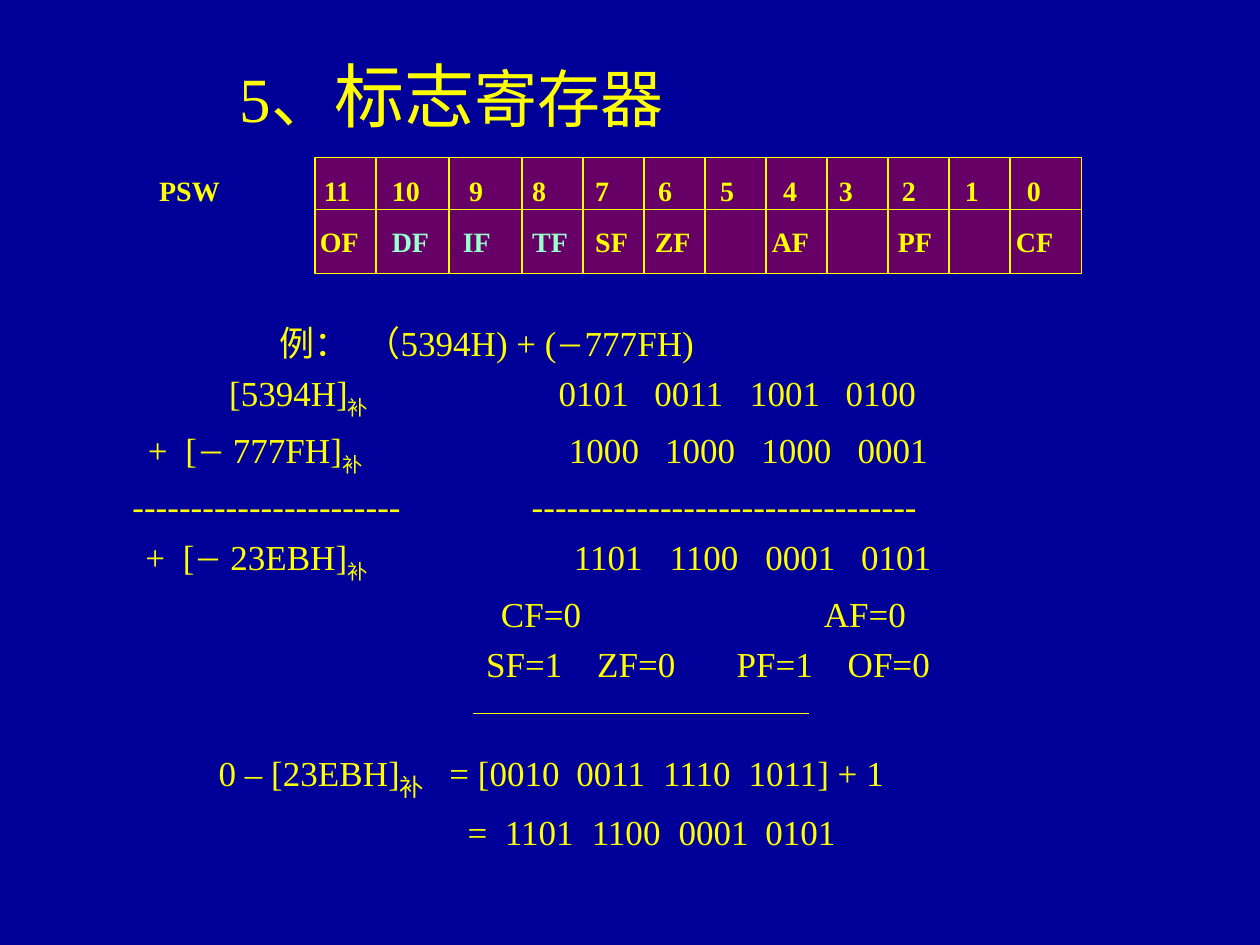
import itertools

import pptx
import pptx.dml.color
import pptx.enum.shapes
import pptx.enum.text
import pptx.oxml.ns
import pptx.util
from lxml import etree
from pptx.util import Cm, Pt

NAVY = pptx.dml.color.RGBColor(0x00, 0x00, 0x99)
PURPLE = pptx.dml.color.RGBColor(0x66, 0x00, 0x66)
YELLOW = pptx.dml.color.RGBColor(0xFF, 0xFF, 0x00)
MINT = pptx.dml.color.RGBColor(0x99, 0xFF, 0xCC)
FONT = "Times New Roman"
ANCHOR = pptx.enum.text.MSO_ANCHOR
INSET = 0.25

REGISTER_LEFT, REGISTER_TOP = 6.35, 3.18
REGISTER_WIDTH, REGISTER_HEIGHT = 15.45, 2.33
BIT_WIDTHS = [1.23, 1.47, 1.47] + [1.23] * 8
BIT_ROW = [
    (3.21, "PSW"), (6.53, "11"), (7.9, "10"), (9.46, "9"), (10.73, "8"),
    (12, "7"), (13.27, "6"), (14.52, "5"), (15.79, "4"), (16.91, "3"),
    (18.18, "2"), (19.45, "1"), (20.7, "0"),
]
FLAG_ROW = [
    (6.45, "OF"), (7.9, "DF"), (9.33, "IF"), (10.73, "TF"), (12, "SF"),
    (13.2, "ZF"), (15.56, "AF"), (18.1, "PF"), (20.48, "CF"),
]
CONTROL_FLAGS = {"DF", "IF", "TF"}

MINUS = ("－", 16, 0)
SUBSCRIPT = ("补", 20, -25)
LARGE_SUBSCRIPT = ("补", 24, -25)


def evenly(start, pitch, groups):
    """Return tabbed columns, one for each group of digits."""
    return [(start + pitch * i, [group]) for i, group in enumerate(groups.split())]


WORKING = [
    [(5.64, ["例："]), (7.37, ["（5394H) + (", MINUS, "777FH)"])],
    [(4.62, ["[5394H]", SUBSCRIPT])] + evenly(11.26, 1.93, "0101 0011 1001 0100"),
    [(2.98, ["+"]), (3.74, ["[", MINUS, " 777FH]", SUBSCRIPT])]
    + evenly(11.47, 1.94, "1000 1000 1000 0001"),
    [(2.67, ["-" * 23]), (10.72, ["-" * 33])],
    [(2.93, ["+"]), (3.69, ["[", MINUS, " 23EBH]", SUBSCRIPT])]
    + evenly(11.57, 1.93, "1101 1100 0001 0101"),
    [(10.1, ["CF=0"]), (16.61, ["AF=0"])],
    [(9.8, ["SF=1"]), (12.04, ["ZF=0"]), (14.85, ["PF=1"]), (17.09, ["OF=0"])],
    [(4.41, ["0 – [23EBH]", LARGE_SUBSCRIPT]), (9.06, ["= [0010"]),
     (11.62, ["0011"]), (13.37, ["1110"]), (15.09, ["1011] + 1"])],
    [(9.43, ["="])] + evenly(10.18, 1.75, "1101 1100 0001 0101"),
]
CHECK_ROW = 7


def add_run(paragraph, text, size, color=YELLOW, bold=False, baseline=0):
    """Append one styled run."""
    run = paragraph.add_run()
    run.text = text
    run.font.name = FONT
    run.font.size = Pt(size)
    run.font.bold = bold
    run.font.color.rgb = color
    if baseline:
        run.font._element.set("baseline", str(baseline * 1000))


def add_text_frame(slide, left, top, width, height, anchor=ANCHOR.TOP):
    """Add a wrapping text box and return its frame."""
    frame = slide.shapes.add_textbox(Cm(left), Cm(top), Cm(width), Cm(height)).text_frame
    frame.word_wrap = True
    frame.vertical_anchor = anchor
    return frame


def add_line(slide, x1, y1, x2, y2):
    """Add a thin yellow line."""
    line = slide.shapes.add_connector(
        pptx.enum.shapes.MSO_CONNECTOR.STRAIGHT, Cm(x1), Cm(y1), Cm(x2), Cm(y2))
    line.line.color.rgb = YELLOW
    line.line.width = Pt(0.75)
    etree.SubElement(line._element.spPr, pptx.oxml.ns.qn("a:effectLst"))


def set_tab_stops(paragraph, positions, text_left):
    """Give a paragraph left tab stops at positions measured on the slide."""
    qn = pptx.oxml.ns.qn
    stops = etree.SubElement(paragraph._p.get_or_add_pPr(), qn("a:tabLst"))
    for position in positions:
        etree.SubElement(stops, qn("a:tab"), pos=str(Cm(position - text_left)), algn="l")


def add_title(slide):
    """Add the heading."""
    frame = add_text_frame(slide, 1.27, 0.64, 15.67, 2.54, ANCHOR.MIDDLE)
    heading = frame.paragraphs[0]
    heading.alignment = pptx.enum.text.PP_ALIGN.CENTER
    for text, size in [("5、", 36), ("标志", 40), ("寄存器", 36)]:
        add_run(heading, text, size)


def add_register_grid(slide):
    """Add the register's panel and the lines between its bits."""
    panel = slide.shapes.add_shape(
        pptx.enum.shapes.MSO_SHAPE.RECTANGLE, Cm(REGISTER_LEFT), Cm(REGISTER_TOP),
        Cm(REGISTER_WIDTH), Cm(REGISTER_HEIGHT))
    panel.shadow.inherit = False
    panel.fill.solid()
    panel.fill.fore_color.rgb = PURPLE
    panel.line.color.rgb = YELLOW
    panel.line.width = Pt(0.75)
    for offset in itertools.accumulate(BIT_WIDTHS):
        x = REGISTER_LEFT + offset
        add_line(slide, x, REGISTER_TOP, x, REGISTER_TOP + REGISTER_HEIGHT)


def add_register_text(slide):
    """Add the register's name, bit numbers and flags."""
    left = 2.96
    frame = add_text_frame(slide, left, 3.38, 19.69, 1.96)
    bits, flags = frame.paragraphs[0], frame.add_paragraph()
    flags.space_before = Pt(10)
    for paragraph, columns in [(bits, BIT_ROW), (flags, FLAG_ROW)]:
        stops = [position for position, _ in columns if position > left + INSET]
        set_tab_stops(paragraph, stops, left + INSET)
        for position, text in columns:
            tab = "\t" if position in stops else ""
            color = MINT if text in CONTROL_FLAGS else YELLOW
            add_run(paragraph, tab + text, 16, color, bold=True)


def add_working(slide):
    """Add the worked example."""
    left = 0.84
    frame = add_text_frame(slide, left, 6.35, 18.42, 11.43)
    for index, columns in enumerate(WORKING):
        paragraph = frame.add_paragraph() if index else frame.paragraphs[0]
        set_tab_stops(paragraph, [position for position, _ in columns], left + INSET)
        for _, pieces in columns:
            add_run(paragraph, "\t", 20)
            for piece in pieces:
                text, size, baseline = (piece, 20, 0) if isinstance(piece, str) else piece
                add_run(paragraph, text, size, baseline=baseline)
        if index:
            paragraph.space_before = Pt(34 if index == CHECK_ROW else 5)


def main():
    """Build the slide and save it."""
    deck = pptx.Presentation()
    deck.slide_width, deck.slide_height = Cm(25.4), Cm(19.05)
    slide = deck.slides.add_slide(deck.slide_layouts[6])
    slide.background.fill.solid()
    slide.background.fill.fore_color.rgb = NAVY
    add_title(slide)
    add_register_grid(slide)
    add_register_text(slide)
    add_line(slide, 9.53, 14.39, 16.3, 14.39)
    add_working(slide)
    add_line(slide, REGISTER_LEFT, 4.23, REGISTER_LEFT + REGISTER_WIDTH, 4.23)
    deck.save("out.pptx")


if __name__ == "__main__":
    main()
